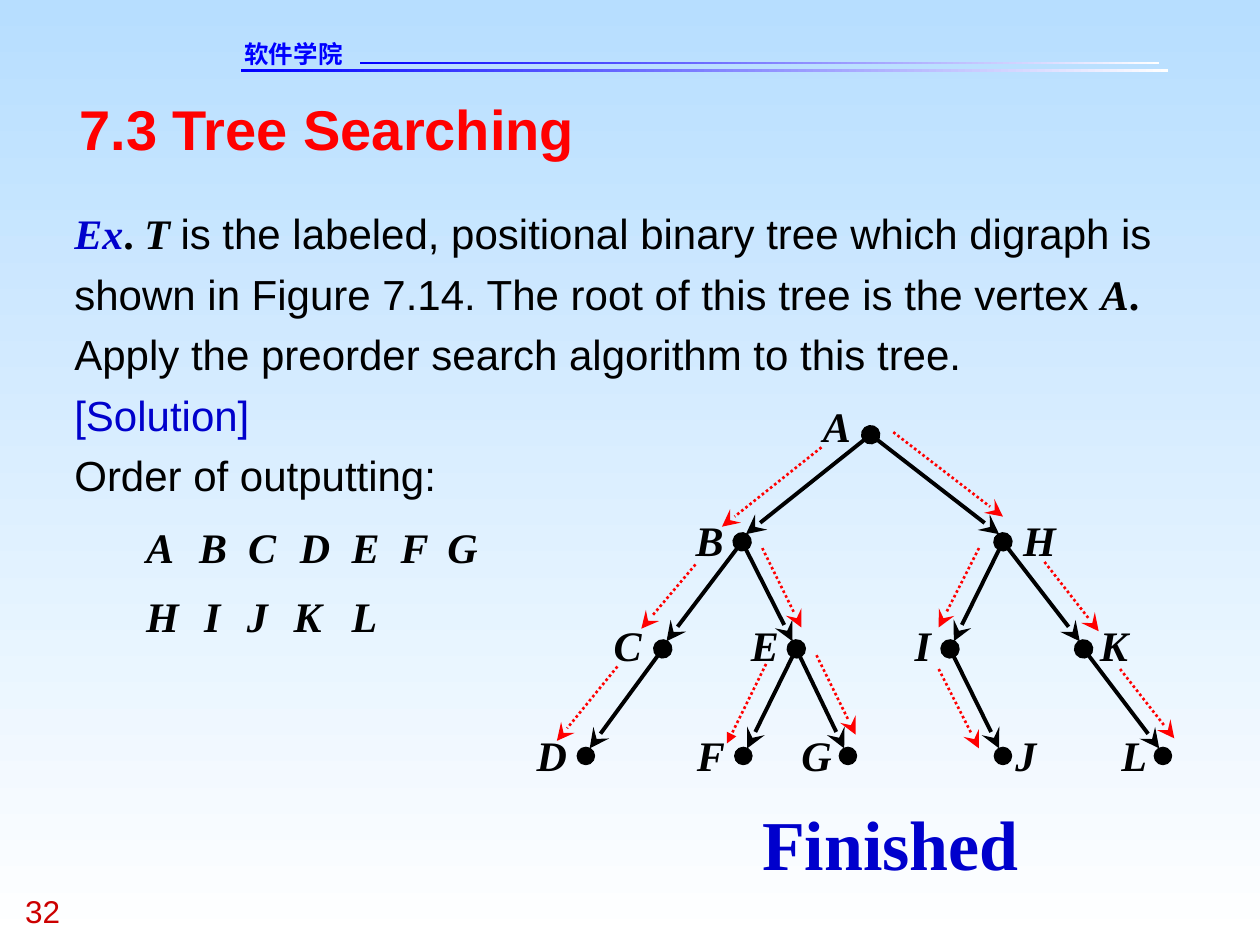
"""Build the slide on preorder search of a labeled binary tree."""
from lxml import etree
from pptx import Presentation
from pptx.dml.color import RGBColor
from pptx.enum.dml import MSO_LINE
from pptx.enum.shapes import MSO_CONNECTOR, MSO_SHAPE
from pptx.enum.text import MSO_AUTO_SIZE, PP_ALIGN
from pptx.oxml.ns import qn
from pptx.util import Inches, Pt

STRAIGHT = MSO_CONNECTOR.STRAIGHT
RECTANGLE, OVAL = MSO_SHAPE.RECTANGLE, MSO_SHAPE.OVAL
DOTTED = MSO_LINE.ROUND_DOT
GROW = MSO_AUTO_SIZE.SHAPE_TO_FIT_TEXT
LEFT, JUSTIFY = PP_ALIGN.LEFT, PP_ALIGN.JUSTIFY

COLORS = {
    "sky": "B7DEFF", "white": "FFFFFF", "black": "000000", "red": "FF0000",
    "blue": "0000FF", "navy": "0000CC", "number": "CC0000",
}
PALETTE = {name: RGBColor.from_string(value) for name, value in COLORS.items()}
SERIF, SANS, HEADER_FONT = "Times New Roman", "Arial", "DejaVu Sans"
GRID = Inches(0.1)
COLUMNS, ROWS = 100, 75


def add_text(shapes, box, paragraphs, wrap=True, align=LEFT, spacing=None, **base):
    frame = shapes.add_textbox(*(round(n * GRID) for n in box)).text_frame
    frame.margin_left = frame.margin_right = frame.margin_top = frame.margin_bottom = 0
    frame.word_wrap = wrap
    frame.auto_size = GROW
    for index, runs in enumerate(paragraphs):
        paragraph = frame.add_paragraph() if index else frame.paragraphs[0]
        paragraph.alignment = align
        if spacing:
            paragraph.line_spacing = spacing
        for words, changes in runs:
            style = {"font": SANS, "color": "black", "bold": False, "italic": False, **base, **changes}
            run = paragraph.add_run()
            run.text = words
            run.font.name = style["font"]
            run.font.size = Pt(style["size"])
            run.font.bold = style["bold"]
            run.font.italic = style["italic"]
            run.font.color.rgb = PALETTE[style["color"]]


def add_arrow(shapes, start, end, color, width, dash=None, head=None, tail="stealth", size="lg"):
    arrow = shapes.add_connector(STRAIGHT, *(round(n * GRID) for n in (*start, *end)))
    arrow.line.color.rgb = PALETTE[color]
    arrow.line.width = Pt(width)
    if dash:
        arrow.line.dash_style = dash
    outline = arrow.line._get_or_add_ln()
    for tag, kind in (("a:headEnd", head), ("a:tailEnd", tail)):
        if kind:
            etree.SubElement(outline, qn(tag), type=kind, w=size, len=size)
    etree.SubElement(arrow._element.spPr, qn("a:effectLst"))


presentation = Presentation()
presentation.slide_width = COLUMNS * GRID
presentation.slide_height = ROWS * GRID
slide = presentation.slides.add_slide(presentation.slide_layouts[6])
shapes = slide.shapes

sky = slide.background.fill
sky.gradient()
sky.gradient_angle = 270
for stop, color in zip(sky.gradient_stops, ("sky", "white")):
    stop.color.rgb = PALETTE[color]

for box in ((19.1, 5.5, 73.6, 0.2), (28.6, 4.9, 63.4, 0.2)):
    rule = shapes.add_shape(RECTANGLE, *(round(n * GRID) for n in box))
    rule.shadow.inherit = False
    rule.line.fill.background()
    rule.fill.gradient()
    rule.fill.gradient_angle = 180
    for stop, color in zip(rule.fill.gradient_stops, ("white", "blue")):
        stop.color.rgb = PALETTE[color]

add_text(shapes, (19.4, 3.1, 14.5, 2.3), [[("软件学院", {})]],
         font=HEADER_FONT, size=14, color="blue", bold=True)
add_text(shapes, (2, 70.8, 7.5, 3), [[("32", {})]], size=18, color="number")
add_text(shapes, (6.3, 7.5, 87.5, 5.3), [[("7.3 Tree Searching", {})]],
         size=32, color="red", bold=True)

strong = {"font": SERIF, "bold": True}
symbol = {**strong, "italic": True}
exercise = [
    [
        ("Ex", {**symbol, "color": "navy"}),
        (". ", strong),
        ("T ", symbol),
        ("is the labeled, positional binary tree which digraph is shown in "
         "Figure 7.14. The root of this tree is the vertex ", {}),
        ("A", symbol),
        (".", strong),
    ],
    [("Apply the preorder search algorithm to this tree.", {})],
    [("[Solution]", {"color": "navy"})],
    [("Order of outputting:", {})],
]
add_text(shapes, (5.9, 15.7, 89.5, 24), exercise, size=24, spacing=1.2)

letter_widths = dict(zip("ABCDEFGHIJKL", (2.2, 2.2, 2.2, 2.4, 2.2, 2.2, 2.4, 2.6, 1.3, 1.7, 2.2, 2)))
output_rows = [
    (41.4, "ABCDEFG", (11.6, 15.8, 19.7, 23.8, 27.9, 31.8, 35.5)),
    (46.9, "HIJKL", (11.6, 16.2, 19.6, 23.3, 27.9)),
]
for top, letters, lefts in output_rows:
    for letter, left in zip(letters, lefts):
        add_text(shapes, (left, top, letter_widths[letter], 4), [[(letter, symbol)]],
                 wrap=False, size=24)

level_rows = [34.5 + 8.5 * level for level in range(4)]
label_rows = (31.8, 40.8, 49.2, 57.9)
vertices = {
    "A": (0, 69.1, 65.3), "B": (1, 58.9, 55.2), "C": (2, 52.6, 48.7), "D": (3, 46.5, 42.6),
    "E": (2, 63.2, 59.6), "F": (3, 59, 55.3), "G": (3, 67.3, 63.6), "H": (1, 79.6, 81.2),
    "I": (2, 75.4, 72.6), "J": (3, 79.6, 80.6), "K": (2, 86, 87.3), "L": (3, 92.3, 89),
}
children = {"A": "BH", "B": "CE", "C": "D", "E": "FG", "H": "IK", "I": "J", "K": "L"}
tree = shapes.add_group_shape().shapes

for parent, offspring in children.items():
    parent_level, parent_x, _ = vertices[parent]
    for order, child in enumerate(offspring):
        child_level, child_x, _ = vertices[child]
        gap = 0.3 if child_x < parent_x else -0.3
        add_arrow(tree, (parent_x, level_rows[parent_level]),
                  (child_x + gap, level_rows[child_level] - 0.6),
                  "black", 2.25, head=None if order else "oval")

for letter, (level, x, label_left) in vertices.items():
    if letter not in children:
        leaf = tree.add_shape(OVAL, *(round(n * GRID) for n in (x - 0.7, level_rows[level] - 0.7, 1.4, 1.4)))
        leaf.shadow.inherit = False
        leaf.fill.solid()
        leaf.fill.fore_color.rgb = leaf.line.color.rgb = PALETTE["black"]
        leaf.line.width = Pt(0.5)
    add_text(tree, (label_left, label_rows[level], letter_widths[letter], 4),
             [[(letter, symbol)]], wrap=False, align=JUSTIFY, size=24)

visits = [
    ((64.8, 52), (67.9, 58.3)), ((60.5, 43.5), (63.6, 49.8)),
    ((55.2, 44.8), (50.9, 49.9)), ((49, 52.9), (44.2, 58.8)),
    ((77.7, 43.5), (74.5, 49.8)), ((74.5, 53.1), (77.7, 59.4)),
    ((82.9, 44.6), (87.2, 50.1)), ((88.9, 53.1), (93.2, 58.6)),
    ((70.9, 34.3), (79.6, 41)), ((65.2, 35.5), (57.3, 41.8)),
]
add_arrow(shapes, (60.8, 52.7), (57.7, 59), "red", 1.5, dash=DOTTED, tail="triangle", size="med")
for start, end in visits:
    add_arrow(shapes, start, end, "red", 1.5, dash=DOTTED)

add_text(shapes, (60.5, 63.5, 20.4, 6.7), [[("Finished", strong)]],
         wrap=False, size=40, color="navy")

presentation.save("out.pptx")
